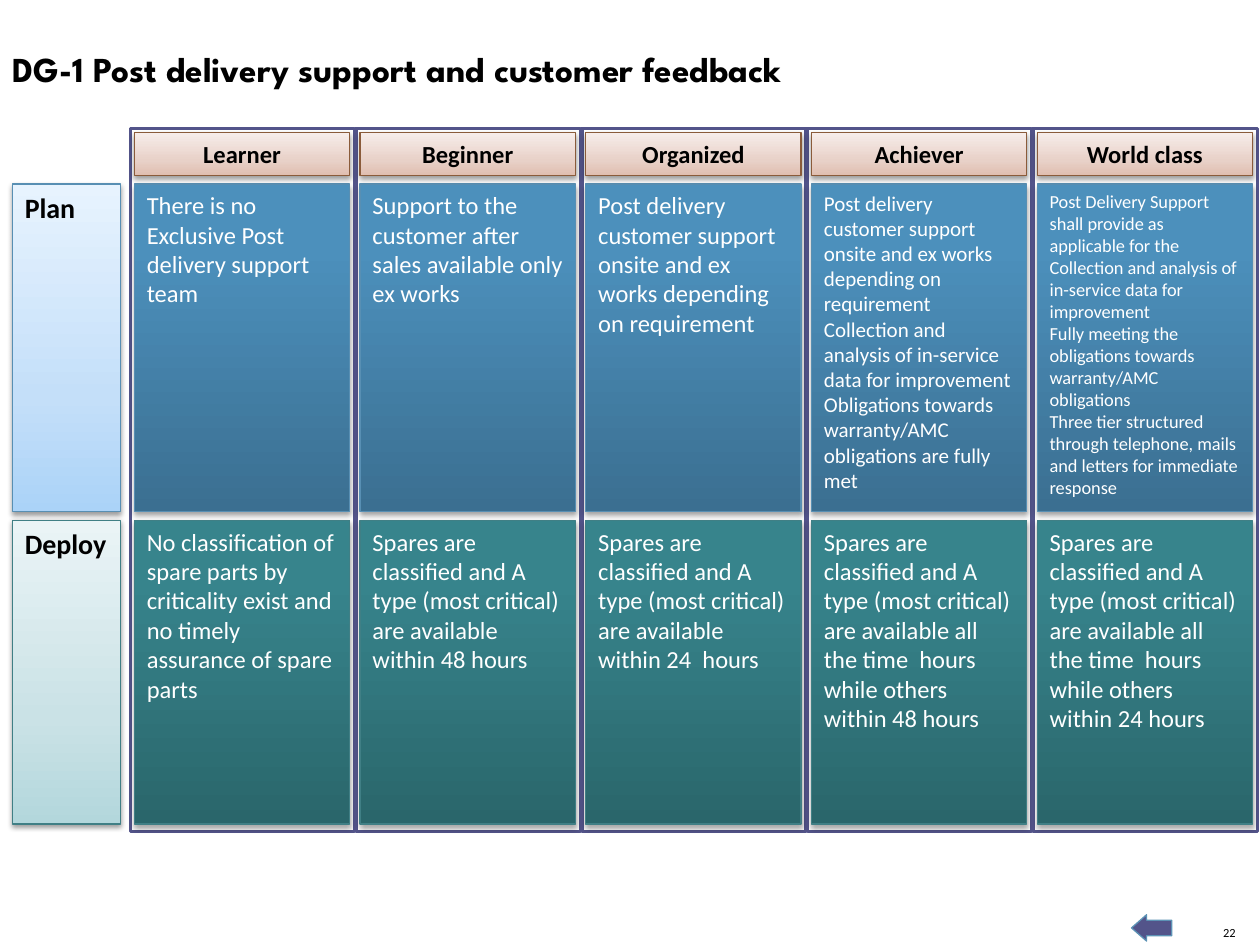
import pptx
import pptx.dml.color
import pptx.enum.shapes
import pptx.enum.text
import pptx.oxml
import pptx.oxml.ns
import pptx.util
from pptx.util import Cm

TITLE = "DG-1 Post delivery support and customer feedback"
PAGE_NUMBER = "22"
LEVELS = ["Learner", "Beginner", "Organized", "Achiever", "World class"]
SPARES = "Spares are classified and A type (most critical) are available "
ONSITE = "Post delivery customer support onsite and ex works depending on requirement"
ANALYSIS = "Collection and analysis of in-service data for improvement"

# Each cell: text size and paragraphs, one cell per level
PLAN = [
    (14, ["There is no Exclusive Post delivery support team"]),
    (14, ["Support to the customer after sales available only ex works"]),
    (14, [ONSITE]),
    (12, [ONSITE, ANALYSIS,
          "Obligations towards warranty/AMC obligations are fully met"]),
    (10.5, ["Post Delivery Support shall provide as applicable for the", ANALYSIS,
            "Fully meeting the obligations towards warranty/AMC obligations",
            "Three tier structured through telephone, mails and letters "
            "for immediate response"]),
]
DEPLOY = [
    (14, ["No classification of spare parts by criticality exist and "
          "no timely assurance of spare parts"]),
    (14, [SPARES + "within 48 hours"]),
    (14, [SPARES + "within 24  hours"]),
    (14, [SPARES + "all the time  hours while others within 48 hours"]),
    (14, [SPARES + "all the time  hours while others within 24 hours"]),
]

# Gradient stops run from the bottom edge (0 %) to the top edge (100 %)
PALE = {"positions": (0, 35, 100), "shadow": (38, 1.6)}
STRONG = {"positions": (0, 80, 100), "shadow": (35, 1.8)}
HEADER_STYLE = {**PALE, "stops": ("E0BEB0", "E8D1C8", "F7EDEA"), "line": "8A5B3A"}
ROWS = [
    {"label": "Plan", "cells": PLAN, "top": 3.71, "height": 6.6,
     "label_style": {**PALE, "stops": ("ABD3F8", "C4DFF9", "E7F3FE"), "line": "588FB3"},
     "cell_style": {**STRONG, "stops": ("3B6F91", "4C90BC", "4A91BF"), "line": "588FB3"}},
    {"label": "Deploy", "cells": DEPLOY, "top": 10.49, "height": 6.12,
     "label_style": {**PALE, "stops": ("B3D7DC", "CAE2E6", "EAF4F6"), "line": "407F85"},
     "cell_style": {**STRONG, "stops": ("2A666B", "37848C", "36868E"), "line": "407F85"}},
]

COLUMN_LEFT, COLUMN_PITCH, FRAME_WIDTH = 2.63, 4.55, 4.52
FRAME_TOP, FRAME_HEIGHT = 2.59, 14.17
CELL_INSET, CELL_WIDTH = 0.08, 4.34
HEADER_TOP, HEADER_HEIGHT = 2.67, 0.87
LABEL_LEFT, LABEL_WIDTH = 0.25, 2.18

ALIGN = pptx.enum.text.PP_ALIGN
ANCHOR = pptx.enum.text.MSO_ANCHOR
SHAPE = pptx.enum.shapes.MSO_SHAPE


def color(hex_value):
    return pptx.dml.color.RGBColor.from_string(hex_value)


def write(shape, paragraphs, size, hex_value, bold=False, font="Calibri",
          align=ALIGN.LEFT, frame_format=None):
    frame = shape.text_frame
    settings = {"word_wrap": True, "vertical_anchor": ANCHOR.TOP, **(frame_format or {})}
    for name, value in settings.items():
        setattr(frame, name, value)
    frame.text = "\n".join(paragraphs)
    for paragraph in frame.paragraphs:
        paragraph.alignment = align
        run_font = paragraph.runs[0].font
        for name, value in {"name": font, "size": pptx.util.Pt(size), "bold": bold}.items():
            setattr(run_font, name, value)
        run_font.color.rgb = color(hex_value)


def add_outlined(slide, kind, box, line, width, fill=None):
    shape = slide.shapes.add_shape(kind, *map(Cm, box))
    shape.shadow.inherit = False
    shape.line.color.rgb = color(line)
    shape.line.width = pptx.util.Pt(width)
    if fill:
        shape.fill.solid()
        shape.fill.fore_color.rgb = color(fill)
    return shape


def add_panel(slide, box, style):
    """Add a rectangle with a three-stop vertical gradient and a soft drop shadow."""
    shape = add_outlined(slide, SHAPE.RECTANGLE, box, style["line"], 0.75)
    namespace = pptx.oxml.ns.nsdecls("a")
    stops = "".join(
        f'<a:gs pos="{position * 1000}"><a:srgbClr val="{hex_value}"/></a:gs>'
        for position, hex_value in zip(style["positions"], style["stops"]))
    gradient = pptx.oxml.parse_xml(
        f'<a:gradFill {namespace} rotWithShape="1"><a:gsLst>{stops}</a:gsLst>'
        '<a:lin ang="16200000" scaled="0"/></a:gradFill>')
    opacity, distance = style["shadow"]
    shadow = pptx.oxml.parse_xml(
        f'<a:outerShdw {namespace} blurRad="{pptx.util.Pt(3.1)}" '
        f'dist="{pptx.util.Pt(distance)}" dir="5400000" rotWithShape="0">'
        f'<a:srgbClr val="000000"><a:alpha val="{opacity * 1000}"/></a:srgbClr>'
        '</a:outerShdw>')
    properties = shape.element.spPr
    properties.find(pptx.oxml.ns.qn("a:prstGeom")).addnext(gradient)
    properties.find(pptx.oxml.ns.qn("a:effectLst")).append(shadow)
    return shape


def add_footer(slide):
    arrow = add_outlined(slide, SHAPE.RIGHT_ARROW, (22.81, 18.44, 0.81, 0.53),
                         "5C92B5", 0.75, "53548A")
    arrow.rotation = 180
    arrow.adjustments[0], arrow.adjustments[1] = 0.59, 0.57
    number = slide.shapes.add_textbox(*map(Cm, (24.61, 18.64, 0.3, 0.3)))
    margins = dict.fromkeys(
        ("margin_left", "margin_top", "margin_right", "margin_bottom"), 0)
    write(number, [PAGE_NUMBER], 7.1, "000000", align=ALIGN.RIGHT,
          frame_format={**margins, "word_wrap": False, "vertical_anchor": ANCHOR.BOTTOM})


def add_title(slide):
    title = slide.shapes.title
    box = {"left": 0, "top": 0.84, "width": 21.84, "height": 1.12}
    for name, value in box.items():
        setattr(title, name, Cm(value))
    write(title, [TITLE], 20, "000000", bold=True, font="League Spartan",
          frame_format={"auto_size": pptx.enum.text.MSO_AUTO_SIZE.NONE})


def add_matrix(slide):
    column_lefts = [COLUMN_LEFT + i * COLUMN_PITCH for i in range(len(LEVELS))]
    cell_lefts = [left + CELL_INSET for left in column_lefts]
    for left in column_lefts:
        add_outlined(slide, SHAPE.RECTANGLE, (left, FRAME_TOP, FRAME_WIDTH, FRAME_HEIGHT),
                     "53548A", 2, "FFFFFF")
    for row in ROWS:
        top, height = row["top"], row["height"]
        label = add_panel(slide, (LABEL_LEFT, top, LABEL_WIDTH, height), row["label_style"])
        write(label, [row["label"]], 16, "000000", bold=True)
        for left, (size, paragraphs) in zip(cell_lefts, row["cells"]):
            cell = add_panel(slide, (left, top, CELL_WIDTH, height), row["cell_style"])
            write(cell, paragraphs, size, "FFFFFF")
    for left, level in zip(cell_lefts, LEVELS):
        header = add_panel(slide, (left, HEADER_TOP, CELL_WIDTH, HEADER_HEIGHT), HEADER_STYLE)
        write(header, [level], 14, "000000", bold=True, align=ALIGN.CENTER,
              frame_format={"vertical_anchor": ANCHOR.MIDDLE})


def main():
    presentation = pptx.Presentation()
    presentation.slide_width, presentation.slide_height = Cm(25.4), Cm(19.05)
    slide = presentation.slides.add_slide(presentation.slide_layouts.get_by_name("Title Only"))
    add_footer(slide)
    add_title(slide)
    add_matrix(slide)
    presentation.save("out.pptx")


if __name__ == "__main__":
    main()
